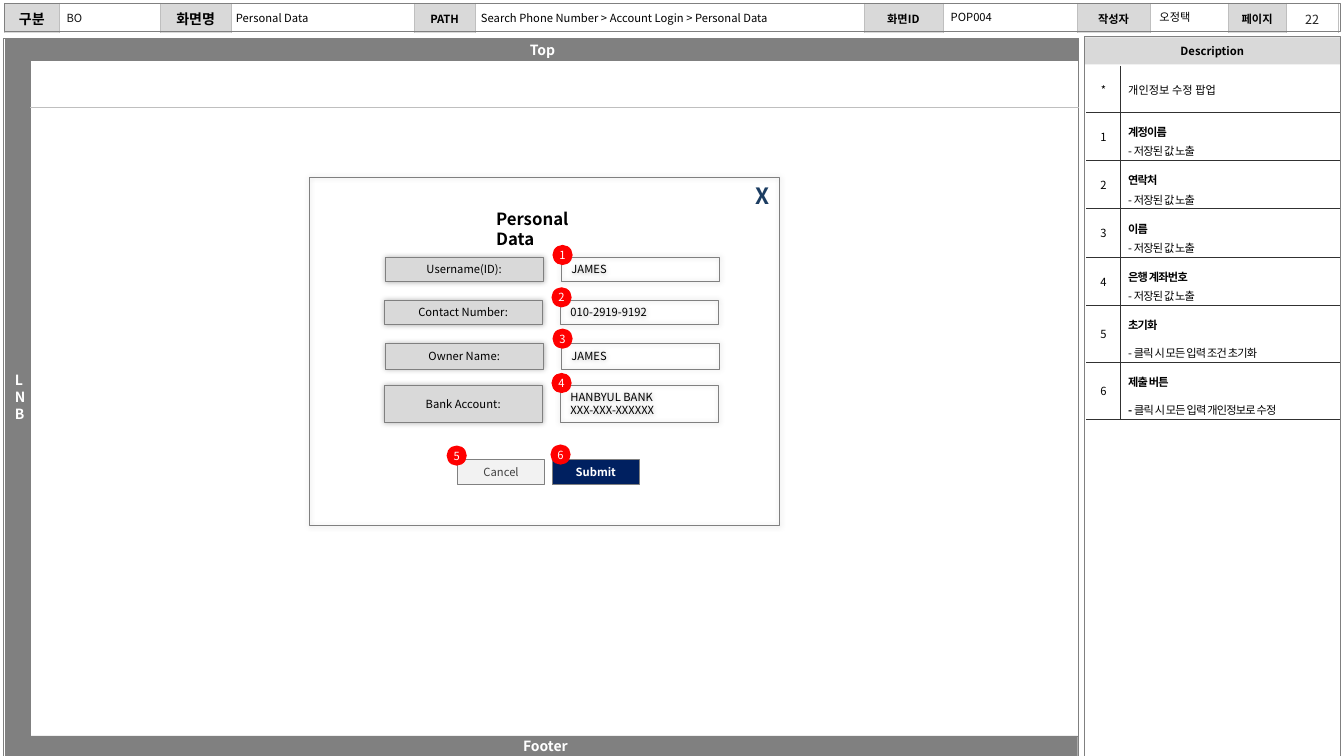
"""Build the Personal Data popup screen specification slide."""
from lxml import etree
from pptx import Presentation
from pptx.dml.color import RGBColor
from pptx.enum.shapes import MSO_CONNECTOR, MSO_SHAPE
from pptx.enum.text import MSO_ANCHOR, PP_ALIGN
from pptx.oxml.ns import qn
from pptx.util import Inches, Pt

LEFT, CENTER, RIGHT = PP_ALIGN.LEFT, PP_ALIGN.CENTER, PP_ALIGN.RIGHT
TOP, MIDDLE = MSO_ANCHOR.TOP, MSO_ANCHOR.MIDDLE
RECTANGLE, OVAL = MSO_SHAPE.RECTANGLE, MSO_SHAPE.OVAL
STRAIGHT = MSO_CONNECTOR.STRAIGHT
FONT = "Noto Sans CJK KR"
COLORS = {
    "black": "000000", "white": "FFFFFF", "gray": "808080", "label": "D9D9D9",
    "rule": "BFBFBF", "grid": "313131", "red": "FF0000", "navy": "002060",
    "close": "1C3D62", "pale": "F2F2F2", "cancel": "404040",
    "page": "262626", "section": "111111",
}
HEADERS = [("구분", 0.55, 10), ("", 1, 8), ("화면명", 0.7, 10), ("", 1.82, 8),
           ("PATH", 0.6, 8), ("", 3.86, 8), ("화면ID", 0.78, 8), ("", 1.33, 8),
           ("작성자", 0.73, 8), ("", 0.77, 8), ("페이지", 0.58, 8), ("", 0.51, 8)]
HEADER_VALUES = [("BO", 0.61, 0.95, "section"), ("Personal Data", 2.29, 1.81, "black"),
                 ("Search Phone Number > Account Login > Personal Data", 4.72, 3.85, "black"),
                 ("POP004", 9.38, 0.73, "black"), ("오정택", 11.45, 0.73, "black")]
FIELDS = [("Username(ID):", ["JAMES"], 5.57, 2.55, 0.24, 2.43),
          ("Contact Number:", ["010-2919-9192"], 5.56, 2.98, 0.24, 2.85),
          ("Owner Name:", ["JAMES"], 5.57, 3.41, 0.25, 3.26),
          ("Bank Account:", ["HANBYUL BANK", "XXX-XXX-XXXXXX"], 5.56, 3.82, 0.37, 3.7)]
SAVED = "저장된 값 노출"
DESCRIPTIONS = [("계정이름", SAVED), ("연락처", SAVED), ("이름", SAVED),
                ("은행 계좌번호", SAVED), ("초기화", "클릭 시 모든 입력 조건 초기화"),
                ("제출 버튼", "클릭 시 모든 입력 개인정보로 수정")]


def rgb(name):
    return RGBColor.from_string(COLORS[name])


def write_text(frame, paragraphs, size=8, color="black", bold=False, align=LEFT,
               spacing=None, after=None, tracking=None):
    for index, content in enumerate(paragraphs):
        paragraph = frame.paragraphs[0] if index == 0 else frame.add_paragraph()
        paragraph.alignment = align
        if spacing:
            paragraph.line_spacing = spacing
        if after:
            paragraph.space_after = Pt(after)
        runs = [(content, bold)] if isinstance(content, str) else content
        for text, is_bold in runs:
            run = paragraph.add_run()
            run.text = text
            run.font.name = FONT
            run.font.size = Pt(size)
            run.font.bold = is_bold
            run.font.color.rgb = rgb(color)
            properties = run.font._element
            properties.find(qn("a:latin")).addnext(
                etree.Element(qn("a:ea"), typeface=FONT))
            if tracking:
                properties.set("spc", str(int(tracking * 100)))


class ScreenSlide:
    def __init__(self, slide):
        self.slide = slide

    def frame(self, shape, paragraphs, anchor=MIDDLE, insets=(0.1, 0.05), wrap=True,
              **text_format):
        frame = shape.text_frame
        frame.word_wrap = wrap
        frame.vertical_anchor = anchor
        frame.margin_left = frame.margin_right = Inches(insets[0])
        frame.margin_top = frame.margin_bottom = Inches(insets[1])
        write_text(frame, paragraphs, **text_format)

    def box(self, left, top, width, height, fill=None, line="gray", line_width=0.5,
            kind=RECTANGLE, shadow=False, paragraphs=(), **text_format):
        shape = self.slide.shapes.add_shape(
            kind, Inches(left), Inches(top), Inches(width), Inches(height))
        shape.shadow.inherit = False
        if fill:
            shape.fill.solid()
            shape.fill.fore_color.rgb = rgb(fill)
        else:
            shape.fill.background()
        if line:
            shape.line.color.rgb = rgb(line)
            shape.line.width = Pt(line_width)
        else:
            shape.line.fill.background()
        if shadow:
            effects = shape._element.spPr.find(qn("a:effectLst"))
            outer = etree.SubElement(effects, qn("a:outerShdw"), blurRad=str(Pt(4)),
                                     dist="0", dir="0", algn="ctr", rotWithShape="0")
            tint = etree.SubElement(outer, qn("a:srgbClr"), val=COLORS["black"])
            etree.SubElement(tint, qn("a:alpha"), val="30000")
        if paragraphs:
            self.frame(shape, paragraphs, **text_format)
        return shape

    def text(self, text, left, top, width, height, **text_format):
        shape = self.slide.shapes.add_textbox(
            Inches(left), Inches(top), Inches(width), Inches(height))
        self.frame(shape, [text], **text_format)

    def badge(self, number, left, top):
        self.box(left, top, 0.2, 0.2, "red", None, kind=OVAL, paragraphs=[str(number)],
                 insets=(0, 0.05), color="white", align=CENTER)

    def rule(self, left, right, top):
        line = self.slide.shapes.add_connector(
            STRAIGHT, Inches(left), Inches(top), Inches(right), Inches(top))
        line.line.color.rgb = rgb("rule")
        line.line.width = Pt(0.25)
        etree.SubElement(line._element.spPr, qn("a:effectLst"))

    def table(self, left, top, widths, heights):
        table = self.slide.shapes.add_table(
            len(heights), len(widths), Inches(left), Inches(top),
            Inches(sum(widths)), Inches(sum(heights))).table
        table.first_row = table.horz_banding = False
        for column, width in zip(table.columns, widths):
            column.width = Inches(width)
        for row, height in zip(table.rows, heights):
            row.height = Inches(height)
        return table

    def cell(self, cell, paragraphs, borders, fill=None, insets=(0.08, 0.08), **text_format):
        properties = cell._tc.get_or_add_tcPr()
        for side, (color, width) in zip("LRTB", borders):
            line = etree.SubElement(properties, qn("a:ln" + side), w=str(Pt(width)))
            solid = etree.SubElement(line, qn("a:solidFill"))
            etree.SubElement(solid, qn("a:srgbClr"), val=COLORS[color])
        if fill:
            cell.fill.solid()
            cell.fill.fore_color.rgb = rgb(fill)
        else:
            cell.fill.background()
        cell.vertical_anchor = MIDDLE
        cell.margin_left = cell.margin_right = Inches(insets[0])
        cell.margin_top = cell.margin_bottom = Inches(insets[1])
        if paragraphs:
            write_text(cell.text_frame, paragraphs, **text_format)
        else:
            etree.SubElement(cell.text_frame.paragraphs[0]._p, qn("a:endParaRPr"), sz="800")


def add_header(screen):
    table = screen.table(0.04, 0.03, [width for _, width, _ in HEADERS], [0.28])
    borders = [("rule", 0.25)] * 2 + [("white", 0.25)] * 2
    for index, (label, _, size) in enumerate(HEADERS):
        screen.cell(table.cell(0, index), [label] if label else [], borders,
                    "label" if label else None, (0.12, 0.05),
                    size=size, bold=True, align=CENTER)
    screen.box(0.04, 0.03, 13.25, 0.28)
    for text, left, width, color in HEADER_VALUES:
        screen.text(text, left, 0.06 if left < 9 else 0.05, width, 0.24,
                    anchor=TOP, insets=(0.05, 0.05), color=color)
    screen.text("22", 12.78, 0.05, 0.47, 0.28, size=9, color="page", align=CENTER)


def add_screen_area(screen):
    bar = {"fill": "gray", "line_width": 0.25, "size": 10, "color": "white", "bold": True}
    screen.box(0.03, 0.38, 10.67, 7.12, "white")
    side = screen.box(0.05, 0.38, 0.25, 7.12, paragraphs=["LNB"], **bar)
    side.text_frame.margin_right = Inches(0.04)
    screen.box(0.13, 7.3, 10.56, 0.2, paragraphs=["Footer"], align=CENTER, **bar)
    screen.box(0.07, 0.38, 10.62, 0.22, paragraphs=["Top"], align=CENTER, **bar)
    screen.rule(0.3, 10.7, 1.06)


def add_popup(screen):
    screen.box(3.07, 1.76, 4.66, 3.45, shadow=True)
    screen.text("Personal Data", 4.87, 2.02, 1.1, 0.3, anchor=TOP, insets=(0.05, 0.05),
                size=12, bold=True)
    screen.text("X", 7.08, 1.76, 0.65, 0.37, anchor=TOP, size=16, color="close",
                bold=True, align=RIGHT)
    for number, (label, value, left, top, height, badge_top) in enumerate(FIELDS, 1):
        screen.box(left - 1.75, top, 1.57, height, "label", shadow=True,
                   paragraphs=[label], wrap=False, align=CENTER)
        screen.box(left, top, 1.57, height, shadow=True, paragraphs=value, wrap=False)
        screen.badge(number, left - 0.09, badge_top)
    button = {"insets": (0, 0.04), "align": CENTER}
    screen.box(4.54, 4.56, 0.86, 0.25, "pale", paragraphs=["Cancel"], color="cancel", **button)
    screen.box(5.48, 4.56, 0.86, 0.25, "navy", paragraphs=["Submit"], color="white",
               bold=True, **button)
    screen.badge(5, 4.43, 4.42)
    screen.badge(6, 5.46, 4.41)


def add_description(screen):
    screen.box(10.76, 0.37, 2.53, 0.27, "label", None, paragraphs=["Description"],
               insets=(0, 0), bold=True, align=CENTER)
    screen.box(10.76, 0.36, 2.53, 7.14)
    table = screen.table(10.78, 0.66, [0.33, 2.17], [0.45] + [0.48] * 4 + [0.55] * 2)
    edge, grid = ("white", 1), ("grid", 0.25)
    for row in range(len(DESCRIPTIONS) + 1):
        above = grid if row else edge
        screen.cell(table.cell(row, 0), [str(row) if row else "*"],
                    [edge, grid, above, grid], "white", align=CENTER, after=6)
        borders = [grid, edge, above, grid]
        if row == 0:
            screen.cell(table.cell(row, 1), ["개인정보 수정 팝업"], borders, "white")
            continue
        title, detail = DESCRIPTIONS[row - 1]
        lines = [[(title, True)], [("- ", row == 6), (detail, False)]]
        screen.cell(table.cell(row, 1), lines, borders, "white", spacing=1.2,
                    after=6 if row > 4 else None, tracking=-0.6)


def main():
    presentation = Presentation()
    presentation.slide_width, presentation.slide_height = Inches(13.33), Inches(7.5)
    screen = ScreenSlide(presentation.slides.add_slide(presentation.slide_layouts[6]))
    add_screen_area(screen)
    add_header(screen)
    add_popup(screen)
    add_description(screen)
    presentation.save("out.pptx")


if __name__ == "__main__":
    main()
